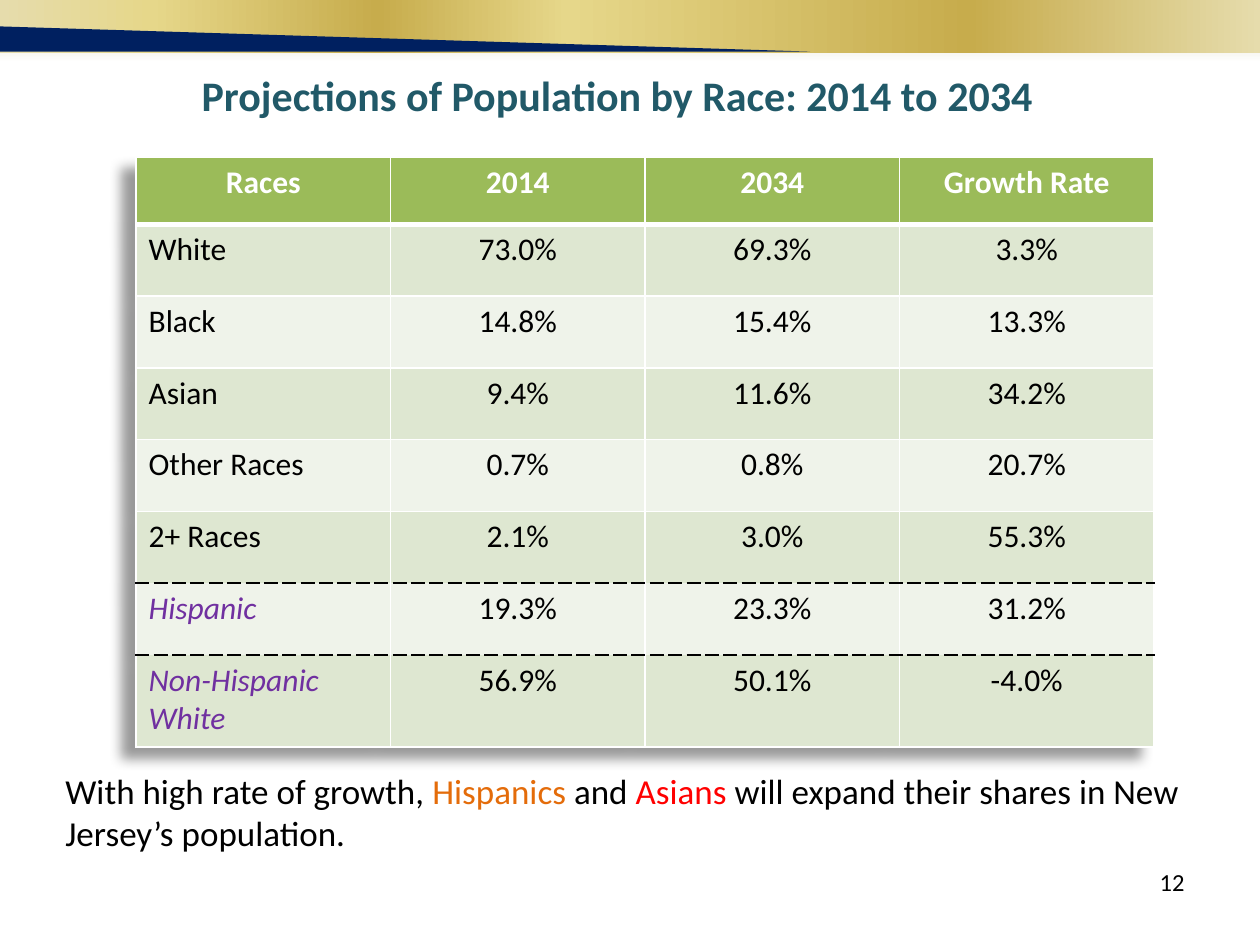
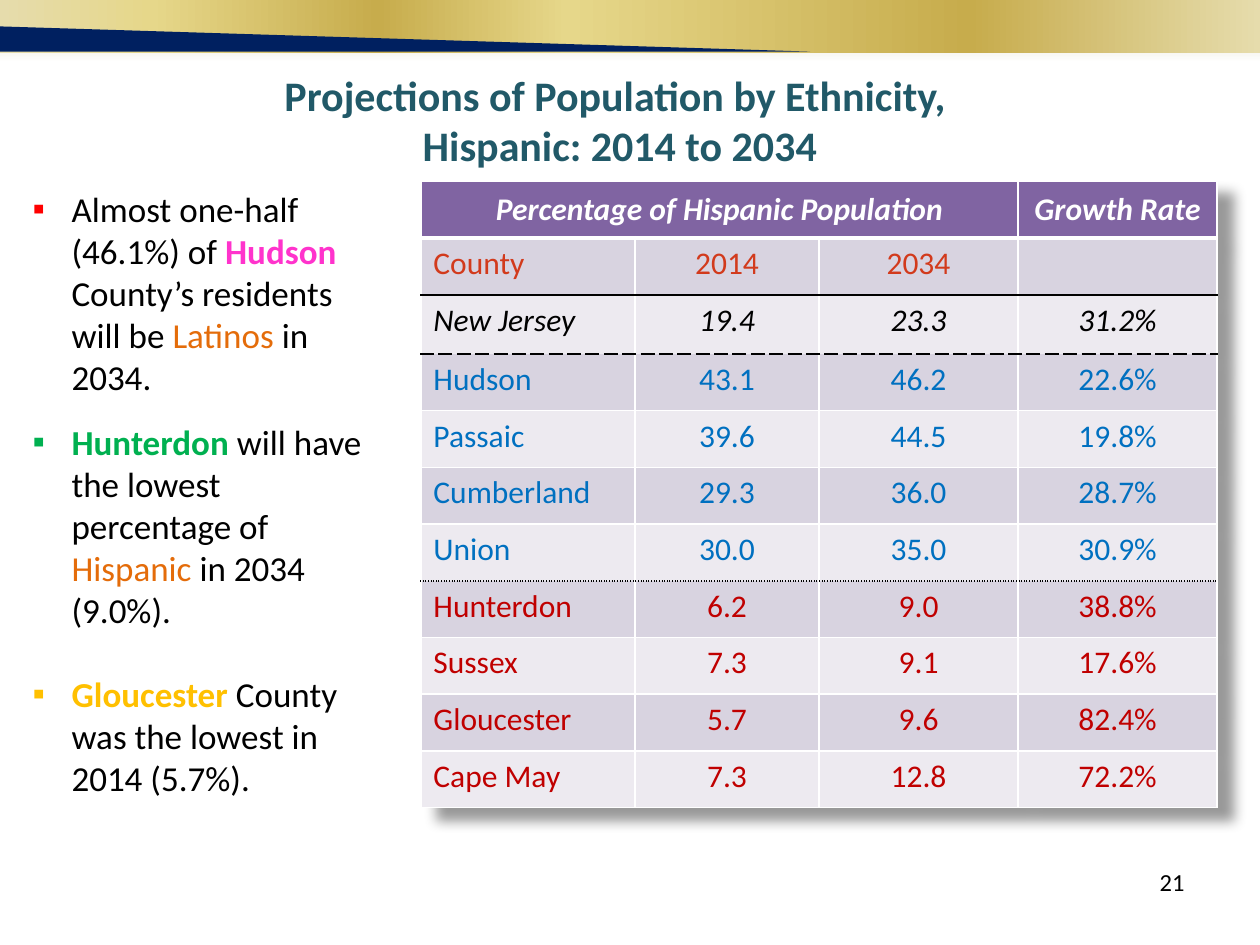
from dataclasses import dataclass

from lxml.etree import SubElement
from pptx import Presentation
from pptx.dml.color import RGBColor
from pptx.enum.shapes import MSO_SHAPE
from pptx.enum.text import MSO_ANCHOR, MSO_AUTO_SIZE, PP_ALIGN
from pptx.oxml.ns import qn
from pptx.util import Inches, Pt


@dataclass(frozen=True)
class Theme:
    font: str = "Calibri"
    title_size: int = 24
    body_size: int = 20
    table_size: int = 18
    number_size: int = 14
    title: str = "215968"
    text: str = "000000"
    white: str = "FFFFFF"
    navy: str = "002060"
    orange: str = "E46C0A"
    red: str = "FF0000"
    pink: str = "FF33CC"
    green: str = "00B050"
    amber: str = "FFC000"
    purple: str = "7030A0"
    rust: str = "D23A1C"
    blue: str = "0070C0"
    dark_red: str = "C00000"
    gold_stops: tuple = ((0, "E6DCAC"), (12, "E6D78A"), (30, "C7AC4C"),
                         (45, "E6D78A"), (77, "C7AC4C"), (100, "E6DCAC"))
    pale_stops: tuple = ((0, "EEECE1"), (100, "FFFFFF"))


THEME = Theme()
LEFT, CENTER, RIGHT = PP_ALIGN.LEFT, PP_ALIGN.CENTER, PP_ALIGN.RIGHT

# Row styles: format of the label, format of the values
PLAIN = ({}, {})
ETHNIC = ({"color": THEME.purple, "italic": True}, {})
HEADING = ({"color": THEME.rust},) * 2
STATE = ({"italic": True},) * 2
HIGHEST = ({"color": THEME.blue},) * 2
LOWEST = ({"color": THEME.dark_red},) * 2

# Text is a list of paragraphs, each a list of (words, format) runs.
RACE = {
    "number": "12",
    "title": [[("Projections of Population by Race: 2014 to 2034", {})]],
    "title_box": (1.5, 0.5, 7, 0.5),
    "title_align": LEFT,
    "table": {
        "place": (1.08, 1.25),
        "columns": [2.02] * 4,
        "heights": [0.53] + [0.57] * 6 + [0.73],
        "colors": ("9BBB59", "DEE7D1", "EFF3EA"),
        "header": ["Races", "2014", "2034", "Growth Rate"],
        "header_format": {},
        "header_anchor": MSO_ANCHOR.TOP,
        "rows": [
            (PLAIN, "White", "73.0%", "69.3%", "3.3%"),
            (PLAIN, "Black", "14.8%", "15.4%", "13.3%"),
            (PLAIN, "Asian", "9.4%", "11.6%", "34.2%"),
            (PLAIN, "Other Races", "0.7%", "0.8%", "20.7%"),
            (PLAIN, "2+ Races", "2.1%", "3.0%", "55.3%"),
            (ETHNIC, "Hispanic", "19.3%", "23.3%", "31.2%"),
            (ETHNIC, "Non-Hispanic White", "56.9%", "50.1%", "-4.0%"),
        ],
        "rules_below": {"2+ Races": "dash", "Hispanic": "dash"},
        "shadow": (0.14, 140),
    },
    "notes": [
        ((0.42, 6.06, 9.08, 0.77), False, [[
            ("With high rate of growth, ", {}),
            ("Hispanics", {"color": THEME.orange}),
            (" and ", {}),
            ("Asians", {"color": THEME.red}),
            (" will expand their shares in New Jersey’s population.", {}),
        ]]),
    ],
}

ETHNICITY = {
    "number": "21",
    "title": [[("Projections of Population by Ethnicity, ", {})],
              [("Hispanic: 2014 to 2034", {})]],
    "title_box": (1.17, 0.5, 7.5, 0.91),
    "title_align": CENTER,
    "table": {
        "place": (3.34, 1.44),
        "columns": [1.7, 1.46, 1.58, 1.58],
        "heights": [0.45, 0.45, 0.47] + [0.45] * 8,
        "colors": ("8064A2", "D8D3E0", "EDEAF0"),
        "header": ["Percentage of Hispanic Population", None, None, "Growth Rate"],
        "header_format": {"italic": True},
        "header_anchor": MSO_ANCHOR.MIDDLE,
        "rows": [
            (HEADING, "County", "2014", "2034", ""),
            (STATE, "New Jersey", "19.4", "23.3", "31.2%"),
            (HIGHEST, "Hudson", "43.1", "46.2", "22.6%"),
            (HIGHEST, "Passaic", "39.6", "44.5", "19.8%"),
            (HIGHEST, "Cumberland", "29.3", "36.0", "28.7%"),
            (HIGHEST, "Union", "30.0", "35.0", "30.9%"),
            (LOWEST, "Hunterdon", "6.2", "9.0", "38.8%"),
            (LOWEST, "Sussex", "7.3", "9.1", "17.6%"),
            (LOWEST, "Gloucester", "5.7", "9.6", "82.4%"),
            (LOWEST, "Cape May", "7.3", "12.8", "72.2%"),
        ],
        "rules_below": {"County": "solid", "New Jersey": "sysDash", "Union": "sysDot"},
        "shadow": (0.16, 38),
    },
    "notes": [
        ((0.16, 1.44, 3.01, 1.78), True, [[
            ("Almost one-half (46.1%) of ", {}),
            ("Hudson", {"color": THEME.pink, "bold": True}),
            (" County’s residents will be ", {}),
            ("Latinos", {"color": THEME.orange}),
            (" in 2034.", {}),
        ]]),
        ((0.16, 3.29, 3.01, 3.13), True, [[
            ("Hunterdon", {"color": THEME.green, "bold": True}),
            (" will have the lowest percentage of ", {}),
            ("Hispanic", {"color": THEME.orange}),
            (" in 2034 (9.0%).", {}),
        ], [
            ("Gloucester", {"color": THEME.amber, "bold": True}),
            (" County was the lowest in 2014 (5.7%).", {}),
        ]]),
    ],
}
BULLET_COLORS = {"Almost one-half (46.1%) of ": THEME.red}


def inches(values):
    return [Inches(value) for value in values]


def add_bullet(paragraph, color):
    properties = paragraph._p.get_or_add_pPr()
    properties.set("marL", str(Inches(0.31)))
    properties.set("indent", str(-Inches(0.31)))
    SubElement(SubElement(properties, qn("a:buClr")), qn("a:srgbClr"), val=color)
    SubElement(properties, qn("a:buFont"), typeface="Arial")
    SubElement(properties, qn("a:buChar"), char="▪")


def write(frame, paragraphs, *, size, color=THEME.text, bold=False, italic=False,
          align=LEFT, bullets=False, gap=0):
    for index, runs in enumerate(paragraphs):
        paragraph = frame.add_paragraph() if index else frame.paragraphs[0]
        paragraph.alignment = align
        if index:
            paragraph.space_before = Pt(gap)
        if bullets:
            first_words, first_format = runs[0]
            add_bullet(paragraph, BULLET_COLORS.get(first_words, first_format.get("color")))
        paragraph.font.size = Pt(size)
        for words, changes in runs:
            run = paragraph.add_run()
            run.text = words
            font = run.font
            font.name, font.size = THEME.font, Pt(size)
            font.bold = changes.get("bold", bold)
            font.italic = changes.get("italic", italic)
            font.color.rgb = RGBColor.from_string(changes.get("color", color))


def add_text(slide, box, paragraphs, **text_format):
    frame = slide.shapes.add_textbox(*inches(box)).text_frame
    frame.word_wrap = True
    write(frame, paragraphs, **text_format)


def fill_gradient(shape, stops, angle):
    shape.fill.gradient()
    shape.fill.gradient_angle = angle
    stop_list = shape.element.spPr.find(".//" + qn("a:gsLst"))
    for stop in list(stop_list):
        stop_list.remove(stop)
    for position, color in stops:
        stop = SubElement(stop_list, qn("a:gs"), pos=str(position * 1000))
        SubElement(stop, qn("a:srgbClr"), val=color)


def move_bands_to_layout(slide):
    """Draw the top bands and place them behind the layout's placeholders."""
    shapes = slide.shapes
    pale_band = shapes.add_shape(MSO_SHAPE.RECTANGLE, *inches((0, 0.33, 10, 0.17)))
    fill_gradient(pale_band, THEME.pale_stops, 270)
    gold_band = shapes.add_shape(MSO_SHAPE.RECTANGLE, *inches((0, 0, 10, 0.42)))
    fill_gradient(gold_band, THEME.gold_stops, 0)
    builder = shapes.build_freeform(Inches(0), Inches(0.41), scale=1.0)
    builder.add_line_segments([inches(point) for point in ((6.43, 0.41), (0, 0.21))])
    navy_wedge = builder.convert_to_shape()
    navy_wedge.fill.solid()
    navy_wedge.fill.fore_color.rgb = RGBColor.from_string(THEME.navy)
    layout_tree = slide.slide_layout.shapes.element
    for index, shape in enumerate((pale_band, gold_band, navy_wedge)):
        shape.line.fill.background()
        shape.shadow.inherit = False
        layout_tree.insert(2 + index, shape.element)


def set_borders(cell, top, bottom):
    side = (THEME.white, 1, "solid")
    borders = {"a:lnL": side, "a:lnR": side, "a:lnT": top, "a:lnB": bottom}
    properties = cell._tc.get_or_add_tcPr()
    for tag, (color, width, dash) in borders.items():
        line = SubElement(properties, qn(tag), w=str(Pt(width)))
        SubElement(SubElement(line, qn("a:solidFill")), qn("a:srgbClr"), val=color)
        SubElement(line, qn("a:prstDash"), val=dash)


def add_table_shadow(table, distance, angle):
    properties = table._tbl.tblPr
    effects = SubElement(properties, qn("a:effectLst"))
    properties.insert(0, effects)
    shadow = SubElement(effects, qn("a:outerShdw"), blurRad=str(Inches(0.1)),
                        dist=str(Inches(distance)), dir=str(angle * 60000), rotWithShape="0")
    color = SubElement(shadow, qn("a:srgbClr"), val=THEME.text)
    SubElement(color, qn("a:alpha"), val="40000")


def add_data_table(slide, data):
    columns, heights = data["columns"], data["heights"]
    size = (sum(columns), sum(heights))
    table = slide.shapes.add_table(len(heights), len(columns),
                                   *inches(data["place"] + size)).table
    table.horz_banding = False
    for column, width in zip(table.columns, columns):
        column.width = Inches(width)
    for row, height in zip(table.rows, heights):
        row.height = Inches(height)

    header_fill, *band_fills = data["colors"]
    header_format = {"color": THEME.white, "bold": True, **data["header_format"]}
    rows = [((header_format, header_format), *data["header"]), *data["rows"]]
    white_line = (THEME.white, 1, "solid")
    top = white_line
    for row_index, ((label_format, value_format), *values) in enumerate(rows):
        is_header = row_index == 0
        rule = data["rules_below"].get(values[0])
        bottom = (THEME.text, 1, rule) if rule else white_line
        if is_header:
            bottom = (THEME.white, 3, "solid")
        fill = header_fill if is_header else band_fills[(row_index - 1) % 2]
        for column_index, value in enumerate(values):
            cell = table.cell(row_index, column_index)
            set_borders(cell, top, bottom)
            cell.fill.solid()
            cell.fill.fore_color.rgb = RGBColor.from_string(fill)
            cell.vertical_anchor = data["header_anchor"] if is_header else MSO_ANCHOR.TOP
            is_label = column_index == 0
            write(cell.text_frame, [[(value, {})]] if value else [[]], size=THEME.table_size,
                  align=LEFT if is_label and not is_header else CENTER,
                  **(label_format if is_label else value_format))
        top = bottom
    spanned = data["header"].count(None)
    if spanned:
        table.cell(0, 0).merge(table.cell(0, spanned))
    add_table_shadow(table, *data["shadow"])


def fill_slide(slide, content):
    title = slide.shapes.title
    title.left, title.top, title.width, title.height = inches(content["title_box"])
    title.text_frame.auto_size = MSO_AUTO_SIZE.NONE
    title.text_frame.vertical_anchor = MSO_ANCHOR.TOP
    write(title.text_frame, content["title"], size=THEME.title_size, color=THEME.title,
          bold=True, align=content["title_align"])
    add_data_table(slide, content["table"])
    for box, bullets, paragraphs in content["notes"]:
        add_text(slide, box, paragraphs, size=THEME.body_size, bullets=bullets, gap=24)
    add_text(slide, (7.17, 6.83, 2.33, 0.52), [[(content["number"], {})]],
             size=THEME.number_size, align=RIGHT)


def main():
    presentation = Presentation()
    presentation.slide_width, presentation.slide_height = inches((10, 7.5))
    title_only = presentation.slide_layouts[5]
    slides = [presentation.slides.add_slide(title_only) for _ in range(2)]
    move_bands_to_layout(slides[0])
    for slide, content in zip(slides, (RACE, ETHNICITY)):
        fill_slide(slide, content)
    presentation.save("out.pptx")


if __name__ == "__main__":
    main()
